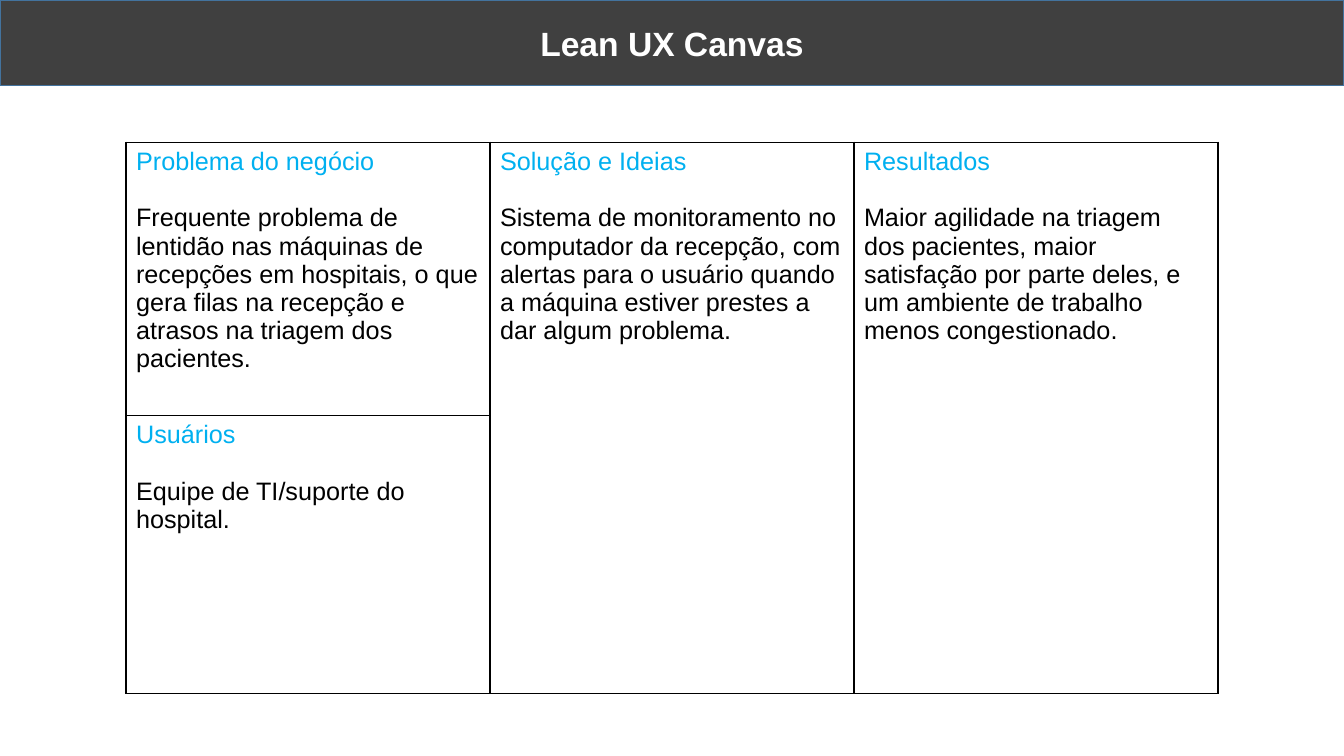
from dataclasses import dataclass

from lxml import etree
from pptx import Presentation
from pptx.dml import color
from pptx.enum import shapes, text
from pptx.oxml import ns
from pptx.slide import Slide
from pptx.table import Table, _Cell
from pptx import util as u


@dataclass(frozen=True)
class Theme:
    font: str = "Arial"
    title_size: float = 24
    body_size: float = 18
    heading_gap: float = 20.5
    banner: str = "404040"
    banner_line: str = "43739E"
    light: str = "FFFFFF"
    heading: str = "00B0F0"
    ink: str = "000000"
    line_width: float = 1


@dataclass(frozen=True)
class Section:
    row: int
    column: int
    heading: str
    body: str
    row_span: int = 1


THEME = Theme()
SLIDE_WIDTH, SLIDE_HEIGHT = 13.33, 7.5
BANNER_HEIGHT = 0.85
CANVAS_LEFT, CANVAS_TOP = 1.25, 1.41
COLUMN_WIDTHS = [3.61] * 3
ROW_HEIGHTS = [2.71, 2.76]

SECTIONS = [
    Section(0, 0, "Problema do negócio",
            "Frequente problema de lentidão nas máquinas de recepções em hospitais, "
            "o que gera filas na recepção e atrasos na triagem dos pacientes."),
    Section(0, 1, "Solução e Ideias",
            "Sistema de monitoramento no computador da recepção, com alertas para o "
            "usuário quando a máquina estiver prestes a dar algum problema.", 2),
    Section(0, 2, "Resultados",
            "Maior agilidade na triagem dos pacientes, maior satisfação por parte "
            "deles, e um ambiente de trabalho menos congestionado.", 2),
    Section(1, 0, "Usuários", "Equipe de TI/suporte do hospital."),
]


def rgb(value: str) -> color.RGBColor:
    return color.RGBColor.from_string(value)


def style_font(paragraph, size: float, ink: str, bold: bool = False) -> None:
    font = paragraph.font
    font.name = THEME.font
    font.size = u.Pt(size)
    font.bold = bold
    font.color.rgb = rgb(ink)


def style_cell(cell: _Cell) -> None:
    # Borders come before the fill in the cell properties
    properties = cell._tc.get_or_add_tcPr()
    for side in ("a:lnL", "a:lnR", "a:lnT", "a:lnB"):
        border = etree.SubElement(properties, ns.qn(side), w=str(u.Pt(THEME.line_width)))
        fill = etree.SubElement(border, ns.qn("a:solidFill"))
        etree.SubElement(fill, ns.qn("a:srgbClr"), val=THEME.ink)
    cell.fill.solid()
    cell.fill.fore_color.rgb = rgb(THEME.light)


def write_section(table: Table, section: Section) -> None:
    cell = table.cell(section.row, section.column)
    if section.row_span > 1:
        cell.merge(table.cell(section.row + section.row_span - 1, section.column))
    heading = cell.text_frame.paragraphs[0]
    heading.text = section.heading
    heading.space_after = u.Pt(THEME.heading_gap)
    style_font(heading, THEME.body_size, THEME.heading)
    body = cell.text_frame.add_paragraph()
    body.text = section.body
    style_font(body, THEME.body_size, THEME.ink)


def add_canvas(slide: Slide) -> None:
    table = slide.shapes.add_table(
        len(ROW_HEIGHTS), len(COLUMN_WIDTHS),
        u.Inches(CANVAS_LEFT), u.Inches(CANVAS_TOP),
        u.Inches(sum(COLUMN_WIDTHS)), u.Inches(sum(ROW_HEIGHTS))).table
    table.first_row = False
    table.horz_banding = False
    for column, width in zip(table.columns, COLUMN_WIDTHS):
        column.width = u.Inches(width)
    for row, height in zip(table.rows, ROW_HEIGHTS):
        row.height = u.Inches(height)
    for cell in table.iter_cells():
        style_cell(cell)
    for section in SECTIONS:
        write_section(table, section)


def add_banner(slide: Slide, title: str) -> None:
    banner = slide.shapes.add_shape(
        shapes.MSO_SHAPE.RECTANGLE, 0, 0,
        u.Inches(SLIDE_WIDTH), u.Inches(BANNER_HEIGHT))
    banner.shadow.inherit = False
    banner.fill.solid()
    banner.fill.fore_color.rgb = rgb(THEME.banner)
    banner.line.color.rgb = rgb(THEME.banner_line)
    banner.line.width = u.Pt(THEME.line_width)
    banner.text_frame.vertical_anchor = text.MSO_ANCHOR.MIDDLE
    paragraph = banner.text_frame.paragraphs[0]
    paragraph.text = title
    paragraph.alignment = text.PP_ALIGN.CENTER
    style_font(paragraph, THEME.title_size, THEME.light, bold=True)


def main() -> None:
    deck = Presentation()
    deck.slide_width = u.Inches(SLIDE_WIDTH)
    deck.slide_height = u.Inches(SLIDE_HEIGHT)
    slide = deck.slides.add_slide(deck.slide_layouts[6])

    # Canvas table
    add_canvas(slide)
    # Title banner
    add_banner(slide, "Lean UX Canvas")

    deck.save("out.pptx")


if __name__ == "__main__":
    main()
